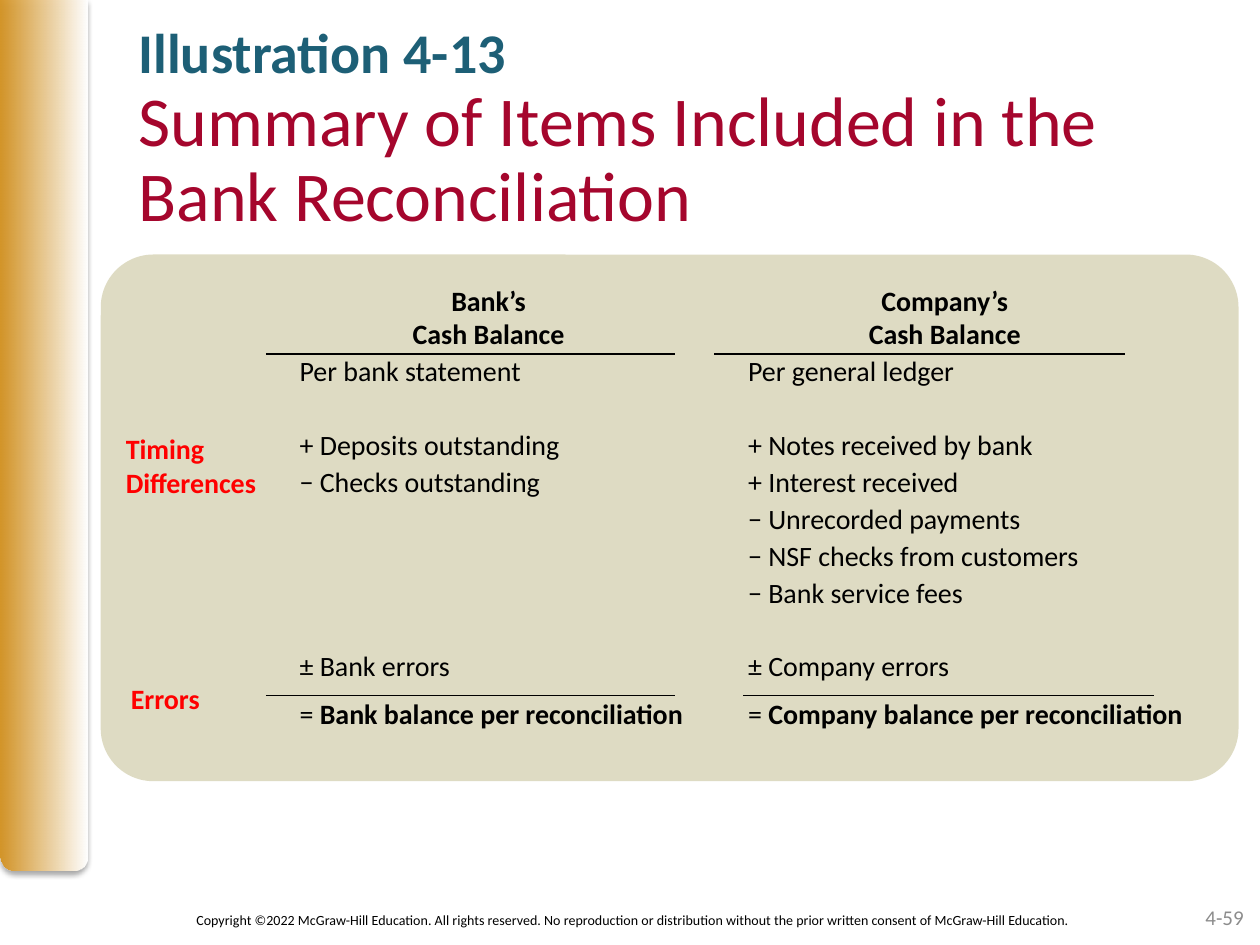
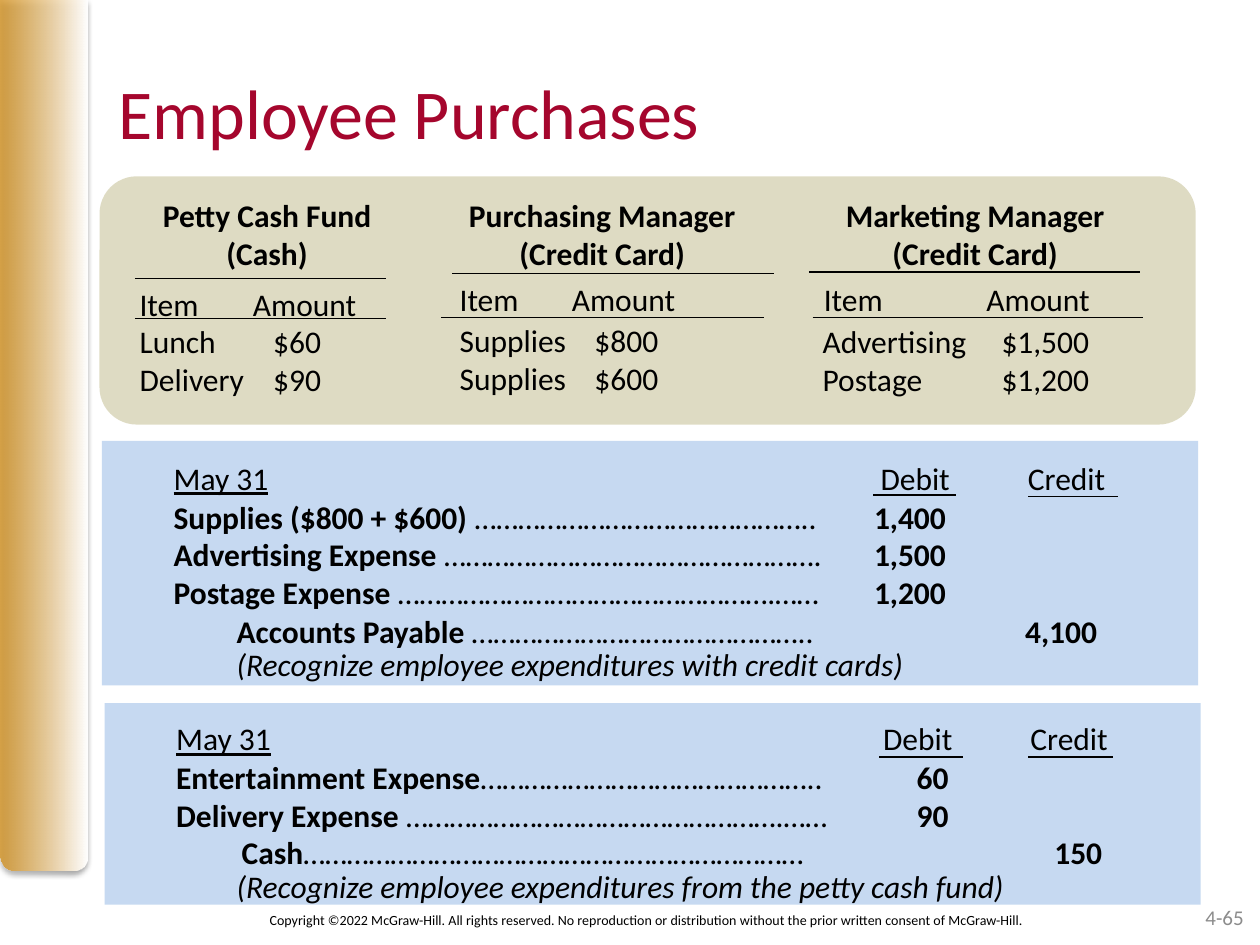
"""Build two accounting slides: a bank reconciliation summary and employee purchases."""
import dataclasses

import lxml.etree
import pptx
import pptx.dml.color
import pptx.enum.shapes
import pptx.enum.text
import pptx.oxml
import pptx.oxml.ns
import pptx.util

SHAPE = pptx.enum.shapes.MSO_SHAPE
ALIGN = pptx.enum.text.PP_ALIGN
ANCHOR = pptx.enum.text.MSO_ANCHOR
QN = pptx.oxml.ns.qn
RGB = pptx.dml.color.RGBColor.from_string
Pt = pptx.util.Pt


@dataclasses.dataclass(frozen=True)
class Theme:
    """Colours, font and type sizes of the deck."""
    font: str = "Calibri"
    ink: str = "000000"
    gold: str = "D49323"
    paper: str = "FFFFFF"
    teal: str = "1D5F76"
    crimson: str = "A5062D"
    red: str = "FF0000"
    grey: str = "8C8C8C"
    sand: str = "D4D0B0"
    sky: str = "C6D9F1"
    title: int = 40
    kicker: int = 32
    body: int = 18
    label: int = 16
    number: int = 12
    footer: int = 8


theme = Theme()
deck = pptx.Presentation()
deck.slide_width = pptx.util.Inches(10)
deck.slide_height = pptx.util.Inches(7.5)
COLUMN = deck.slide_width // 100
ROW = deck.slide_height // 75


def grid(left, top, right, bottom):
    """Turn columns and rows into slide lengths."""
    return round(left * COLUMN), round(top * ROW), round(right * COLUMN), round(bottom * ROW)


def write(box, spans, size, colour=theme.ink, tabs=(), form=None, **look):
    """Append one paragraph of (text, look) spans to a box."""
    frame = box.text_frame
    frame.word_wrap = True
    frame.auto_size = pptx.enum.text.MSO_AUTO_SIZE.NONE
    para = frame.paragraphs[0]
    if para.runs:
        para = frame.add_paragraph()
    for name, value in {"alignment": ALIGN.LEFT, **(form or {})}.items():
        setattr(para, name, value)
    if tabs:
        stops = lxml.etree.SubElement(para._p.get_or_add_pPr(), QN("a:tabLst"))
        for column, kind in tabs:
            lxml.etree.SubElement(stops, QN("a:tab"), pos=str(round(column * COLUMN)), algn=kind)
    for text, change in [(spans, {})] if isinstance(spans, str) else spans:
        span = para.add_run()
        span.text = text
        span.font.color.rgb = RGB(colour)
        for name, value in {"name": theme.font, "size": Pt(size), **look, **change}.items():
            setattr(span.font, name, value)


BOLD = {"bold": True}
PLAIN = {"bold": False}
summary, purchases = [deck.slides.add_slide(deck.slide_layouts[5]) for _ in range(2)]

for page, opacity, number, notice, spot, side in [
    (summary, 96, "4-59",
     "Copyright ©2022 McGraw-Hill Education. All rights reserved. No reproduction or "
     "distribution without the prior written consent of McGraw-Hill Education.",
     (14.6, 71.8, 76.3, 2.4), ALIGN.LEFT),
    (purchases, 80, "4-65",
     "Copyright ©2022 McGraw-Hill. All rights reserved. No reproduction or "
     "distribution without the prior written consent of McGraw-Hill.",
     (15.6, 71, 71.5, 4), ALIGN.CENTER),
]:
    band = page.shapes.add_shape(SHAPE.ROUND_2_SAME_RECTANGLE, *grid(0, 0, 6.9, 69.1))
    band.line.fill.background()
    band.fill.gradient()
    band.fill.gradient_angle = 0
    for stop, colour, position in zip(band.fill.gradient_stops, (theme.gold, theme.paper), (0, 1)):
        stop.color.rgb = RGB(colour)
        stop.position = position
    gold = band._element.spPr.find(".//" + QN("a:srgbClr"))
    lxml.etree.SubElement(gold, QN("a:alpha"), val=str(opacity * 1000))
    band._element.spPr.xfrm.set("flipV", "1")
    band.shadow.inherit = False
    shade = lxml.etree.SubElement(
        band._element.spPr.find(QN("a:effectLst")), QN("a:outerShdw"),
        blurRad=str(Pt(3.1)), dist=str(Pt(1.8)), dir="5400000", rotWithShape="0")
    black = lxml.etree.SubElement(shade, QN("a:srgbClr"), val=theme.ink)
    lxml.etree.SubElement(black, QN("a:alpha"), val="35000")

    for text, place, size, colour, alignment in [
        (notice, spot, theme.footer, theme.ink, side),
        (number, (76.4, 70.8, 23.3, 4), theme.number, theme.grey, ALIGN.RIGHT),
    ]:
        box = page.shapes.add_textbox(*grid(*place))
        box.text_frame.vertical_anchor = ANCHOR.MIDDLE
        write(box, text, size, colour, form={"alignment": alignment})

for page, kind, place, colour, opacity, corner in [
    (summary, SHAPE.ROUNDED_RECTANGLE, (8, 20.2, 90.3, 41.8), theme.sand, 75, 0.1),
    (purchases, SHAPE.ROUNDED_RECTANGLE, (7.9, 14, 87, 19.7), theme.sand, 75, 0.15),
    (purchases, SHAPE.RECTANGLE, (8.1, 35, 87, 19.4), theme.sky, 100, None),
    (purchases, SHAPE.RECTANGLE, (8.3, 55.8, 87, 16), theme.sky, 100, None),
]:
    panel = page.shapes.add_shape(kind, *grid(*place))
    panel.shadow.inherit = False
    panel.line.fill.background()
    panel.fill.solid()
    panel.fill.fore_color.rgb = RGB(colour)
    if corner:
        panel.adjustments[0] = corner
        tint = panel._element.spPr.find(".//" + QN("a:srgbClr"))
        lxml.etree.SubElement(tint, QN("a:alpha"), val=str(opacity * 1000))

for page, place, spacing, lines in [
    (summary, (10, 1.5, 86.6, 8.5), 0.9, [
        ("Illustration 4-13", theme.kicker, theme.teal, True),
        ("Summary of Items Included in the Bank Reconciliation", theme.title, theme.crimson, False)]),
    (purchases, (8.4, 5, 48.6, 7.7), 1.0, [
        ("Employee Purchases", theme.title, theme.crimson, False)]),
]:
    title = page.shapes.title
    title.left, title.top, title.width, title.height = grid(*place)
    title.text_frame.vertical_anchor = ANCHOR.TOP
    for text, size, colour, bold in lines:
        write(title, text, size, colour, form={"line_spacing": spacing}, bold=bold)
purchases.shapes.title.text_frame.word_wrap = False

balances = summary.shapes.add_textbox(*grid(22.8, 22, 75.4, 36.7))
for heading in ("\tBank’s\tCompany’s", "\tCash Balance\tCash Balance"):
    write(balances, heading, theme.label, tabs=[(15, "ctr"), (51.2, "ctr")], bold=True)
for gap, spans in [
    (0, "Per bank statement\tPer general ledger"),
    (21, "+ Deposits outstanding\t+ Notes received by bank"),
    (0, "− Checks outstanding\t+ Interest received"),
    (0, "\t− Unrecorded payments"),
    (0, "\t− NSF checks from customers"),
    (0, "\t− Bank service fees"),
    (21, "± Bank errors\t± Company errors"),
    (6, [("= ", {}), ("Bank balance per reconciliation", BOLD),
         ("\t= ", {}), ("Company balance per reconciliation", BOLD)]),
]:
    write(balances, spans, theme.label, tabs=[(35.6, "l")],
          form={"line_spacing": 1.1, "space_before": Pt(gap)})

for place, lines in [
    ((9, 33.8, 15, 6.4), ("Timing", "Differences")),
    ((9.4, 53.6, 8.8, 3.7), ("Errors",)),
]:
    box = summary.shapes.add_textbox(*grid(*place))
    for line in lines:
        write(box, line, theme.label, theme.red, bold=True)

for heading, payment, heading_place, item_place, row_place, item_tab, row_tab, rows in [
    ("Petty Cash Fund", "(Cash)", (10.8, 15.1, 20.8, 7.1), (10.1, 22.1, 22.7, 4),
     (10.1, 25.1, 25, 7.1), 9, 10.6, ("Lunch\t$60", "Delivery\t$90")),
    ("Purchasing Manager", "(Credit Card)", (35.1, 15.1, 25.4, 7.1), (35.5, 21.7, 26.3, 4),
     (35.5, 25, 29, 7.1), 8.9, 10.7, ("Supplies\t$800", "Supplies\t$600")),
    ("Marketing Manager", "(Credit Card)", (64.7, 15.1, 25.4, 7.1), (64.4, 21.7, 29.8, 4),
     (64.3, 25.1, 29.8, 7.1), 12.9, 14.2, ("Advertising\t$1,500", "Postage\t$1,200")),
]:
    box = purchases.shapes.add_textbox(*grid(*heading_place))
    for line in (heading, payment):
        write(box, line, theme.body, form={"alignment": ALIGN.CENTER}, bold=True)
    box = purchases.shapes.add_textbox(*grid(*item_place))
    write(box, "Item\tAmount", theme.body, tabs=[(item_tab, "l")])
    box = purchases.shapes.add_textbox(*grid(*row_place))
    for row in rows:
        write(box, row, theme.body, tabs=[(row_tab, "l")])

for left, top, debits, credit, credit_place, note, note_top in [
    (12.8, 35.9, [
        ("Supplies ($800 + $600) ", "………………………………………..", "1,400"),
        ("Advertising Expense ", "…………………………………………….", "1,500"),
        ("Postage Expense ", "…………………………………………….……", "1,200")],
     ("Accounts Payable ", "………………………………………..", "4,100"), (17.8, 48.1, 75, 4),
     "(Recognize employee expenditures with credit cards)", 50.7),
    (13, 56.6, [
        ("Entertainment Expense", "………………………………………..", "60"),
        ("Delivery Expense ", "…………………………………………….……", "90")],
     ("Cash", "……………………………………………………………", "150"), (18.2, 65.6, 75, 4),
     "(Recognize employee expenditures from the petty cash fund)", 68.3),
]:
    box = purchases.shapes.add_textbox(*grid(left, top, 76.8, 4))
    write(box, [("May 31", {"underline": True}), ("\tDebit\tCredit", {})], theme.body,
          tabs=[(56.1, "l"), (67.8, "l")])
    debit_box = purchases.shapes.add_textbox(*grid(left, top + 3.1, 78.7, 1 + 3.05 * len(debits)))
    credit_box = purchases.shapes.add_textbox(*grid(*credit_place))
    entries = [(debit_box, 61.3, debit) for debit in debits] + [(credit_box, 68.3, credit)]
    for box, amount_tab, (account, dots, amount) in entries:
        write(box, [(account, BOLD), (dots + "\t", PLAIN), (amount, BOLD)], theme.body,
              tabs=[(amount_tab, "r")])
    box = purchases.shapes.add_textbox(*grid(17.8, note_top, 80.3, 4))
    write(box, note, theme.body, italic=True)

for page, weight, rules in [
    (summary, 0.75, [(21.1, 53.6, 28.1), (56.7, 89.3, 28.1), (21.1, 53.6, 55.2), (59, 91.6, 55.2)]),
    (purchases, 0.75, [(10.7, 30.6, 22.1), (35.9, 61.4, 21.7), (64.2, 90.5, 21.6),
                       (10.7, 30.6, 25.3), (35, 60.6, 25.2), (64.5, 90.7, 25.2)]),
    (purchases, 1, [(69.3, 75.9, 39.3), (81.6, 88.7, 39.4), (69.8, 76.4, 60.1), (81.6, 88.3, 60.1)]),
]:
    for start, end, height in rules:
        rule = page.shapes.add_connector(pptx.enum.shapes.MSO_CONNECTOR.STRAIGHT,
                                         *grid(start, height, end, height))
        rule.line.color.rgb = RGB(theme.ink)
        rule.line.width = Pt(weight)
        lxml.etree.SubElement(rule._element.spPr, QN("a:effectLst"))

deck.save("out.pptx")
